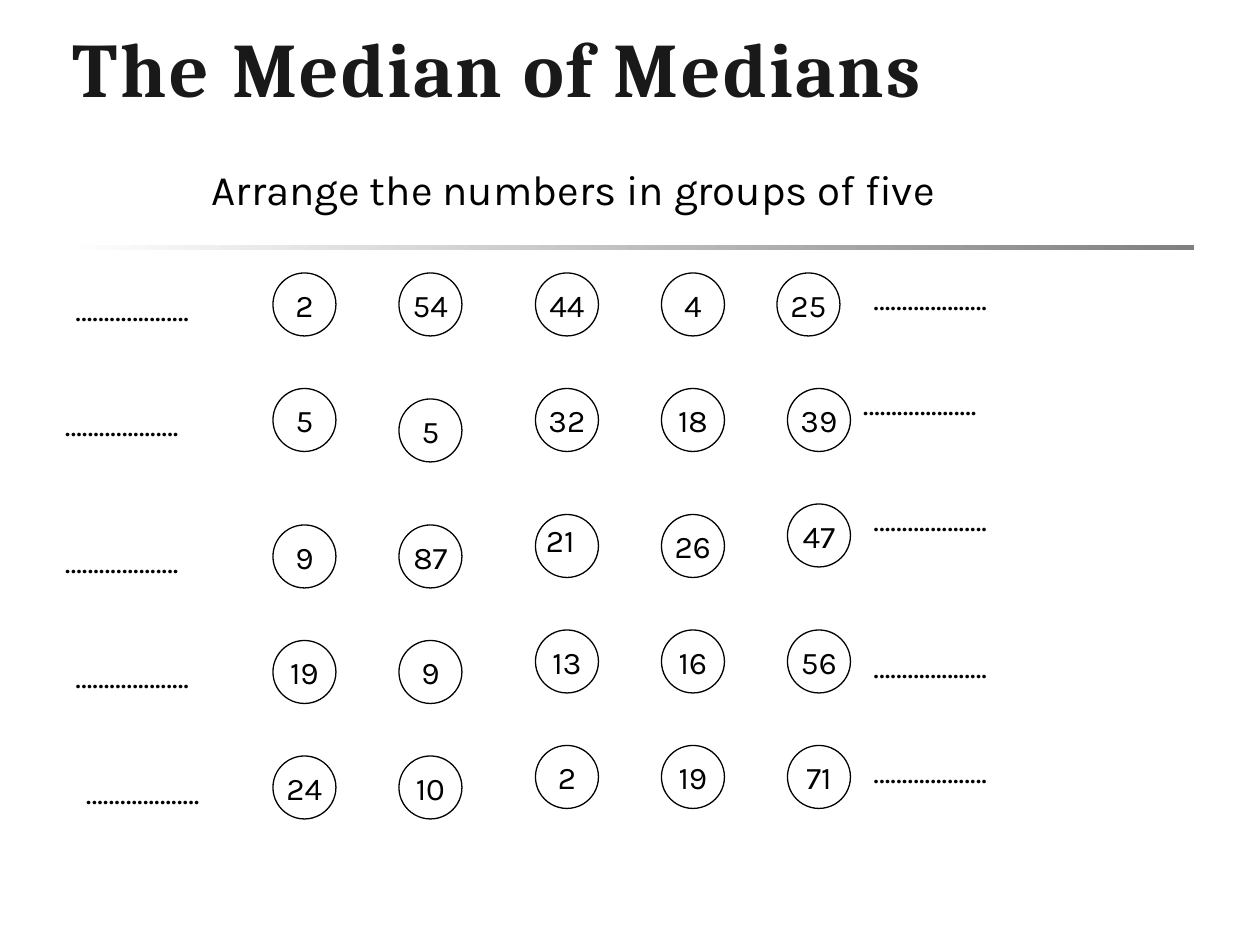
from pptx import Presentation
from pptx.dml.color import RGBColor
from pptx.enum.shapes import MSO_SHAPE
from pptx.enum.text import MSO_ANCHOR, MSO_AUTO_SIZE, PP_ALIGN
from pptx.util import Pt

HUES = {"ink": "000000", "head": "191919", "paper": "FFFFFF", "rule": "808080"}
DOTS = "……………….."
COLUMNS = [
    (156, (156, 222, 300, 366, 432), ("2", "5", "9", "19", "24")),
    (228, (156, 228, 300, 366, 432), ("54", "5", "87", "9", "10")),
    (306, (156, 222, 294, 360, 426), ("44", "32", "", "13", "2")),
    (378, (156, 222, 294, 360, 426), ("4", "18", "26", "16", "19")),
    (450, (156, 222, 288, 360, 426), ("25", "39", "47", "56", "71")),
]
LEFT = [(36, 162), (30, 228), (30, 306), (36, 372), (42, 438)]
RIGHT = [(492, 156), (486, 216), (492, 282), (492, 366), (492, 426)]


def hue(name):
    return RGBColor.from_string(HUES[name])


class Deck:
    """Holds the style and the current slide, and draws each kind of element."""

    def __init__(self):
        self.deck = Presentation()
        self.deck.slide_width, self.deck.slide_height = Pt(720), Pt(540)
        self.slide = self.deck.slides.add_slide(self.deck.slide_layouts[5])
        self.face, self.size = "Karla", 18

    def text(self, para, words, size=None, face=None, color="ink", bold=False):
        run = para.add_run()
        run.text = words
        font = run.font
        font.name, font.size = face or self.face, Pt(size or self.size)
        font.bold, font.color.rgb = bold, hue(color)
        return run

    def title(self, parts, x, y, w, h):
        shape = self.slide.shapes.title
        shape.left, shape.top, shape.width, shape.height = map(Pt, (x, y, w, h))
        frame = shape.text_frame
        frame.auto_size = MSO_AUTO_SIZE.NONE
        frame.vertical_anchor = MSO_ANCHOR.TOP
        frame.margin_top, frame.margin_bottom = Pt(1), Pt(0)
        para = frame.paragraphs[0]
        para.alignment = PP_ALIGN.LEFT
        for words, gap in parts:
            run = self.text(para, words, 44, "Cambria", "head", True)
            run._r.get_or_add_rPr().set("spc", str(gap))

    def shape(self, kind, x, y, w, h):
        shape = self.slide.shapes.add_shape(kind, Pt(x), Pt(y), Pt(w), Pt(h))
        shape.shadow.inherit = False
        return shape

    def rule(self, x, y, w, h):
        bar = self.shape(MSO_SHAPE.RECTANGLE, x, y, w, h)
        bar.line.fill.background()
        bar.fill.gradient()
        bar.fill.gradient_angle = 0
        for stop, place, name in zip(bar.fill.gradient_stops, (0, 1), ("paper", "rule")):
            stop.position, stop.color.rgb = place, hue(name)

    def circle(self, words, x, y):
        ring = self.shape(MSO_SHAPE.OVAL, x, y, 36, 36)
        ring.fill.solid()
        ring.fill.fore_color.rgb = hue("paper")
        ring.line.color.rgb, ring.line.width = hue("ink"), Pt(0.75)
        frame = ring.text_frame
        frame.word_wrap, frame.vertical_anchor = False, MSO_ANCHOR.MIDDLE
        if words:
            para = frame.paragraphs[0]
            para.alignment = PP_ALIGN.CENTER
            self.text(para, words)

    def label(self, words, x, y, w, h, size=None, wrap=True):
        box = self.slide.shapes.add_textbox(Pt(x), Pt(y), Pt(w), Pt(h))
        box.text_frame.word_wrap = wrap
        self.text(box.text_frame.paragraphs[0], words, size)


def main():
    deck = Deck()
    deck.title([("The ", 160), ("Median of Medians", 130)], 34.5, 10.8, 654, 60.5)
    deck.rule(34.5, 140.2, 648, 2.4)
    for x, tops, values in COLUMNS:
        for y, value in zip(tops, values):
            deck.circle(value, x - 6 if value == "25" else x, y)
    for x, y in LEFT + RIGHT:
        deck.label(DOTS, x, y, 114, 50.4)
    deck.label("21", 304.8, 294, 36.6, 28.8, wrap=False)
    deck.label("Arrange the numbers in groups of five", 114, 90, 474, 36, 24)
    deck.deck.save("out.pptx")


if __name__ == "__main__":
    main()
